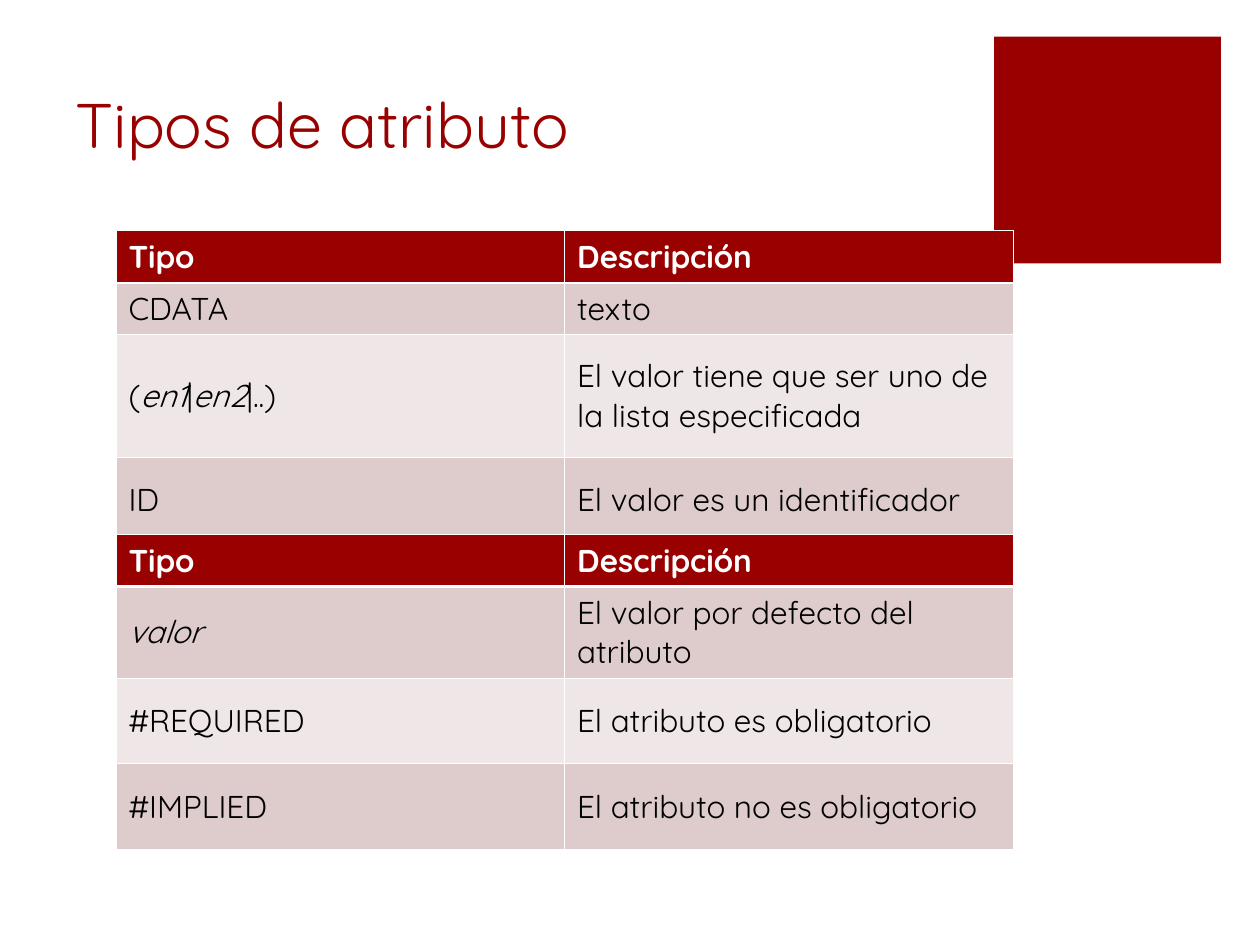
import dataclasses

import lxml.etree
import pptx
import pptx.dml.color
import pptx.enum.shapes
import pptx.enum.text
import pptx.oxml.ns
import pptx.util

COLS, ROWS = 100, 75  # slide grid


@dataclasses.dataclass(frozen=True)
class Theme:
    font: str = "Quicksand"
    red: str = "990000"
    white: str = "FFFFFF"
    black: str = "000000"
    bands: tuple = ("DECBCB", "EFE7E7")
    head: int = 36
    body: int = 18
    thin: float = 0.45
    thick: float = 1.47


def paint(fill, tone):
    fill.solid()
    fill.fore_color.rgb = pptx.dml.color.RGBColor.from_string(tone)


def write(frame, text, *, font, size, tone, bold=False):
    """Fill the frame; words between asterisks are italic."""
    line = frame.paragraphs[0]
    line.alignment = pptx.enum.text.PP_ALIGN.LEFT
    for i, part in enumerate(text.split("*")):
        if part:
            run = line.add_run()
            run.text = part
            run.font.name = font
            run.font.size = pptx.util.Pt(size)
            run.font.bold = bold
            run.font.italic = i % 2 == 1
            run.font.color.rgb = pptx.dml.color.RGBColor.from_string(tone)


def edge(cell, side, width, tone):
    """Add one cell border; call in the order L, R, T, B, before the fill."""
    qn = pptx.oxml.ns.qn
    props = cell._tc.get_or_add_tcPr()
    line = lxml.etree.SubElement(props, qn(f"a:ln{side}"), w=str(pptx.util.Pt(width)))
    fill = lxml.etree.SubElement(line, qn("a:solidFill"))
    lxml.etree.SubElement(fill, qn("a:srgbClr"), val=tone)


class Deck:
    def __init__(self, theme):
        self.theme = theme
        self.show = pptx.Presentation()
        self.show.slide_width = pptx.util.Inches(10)
        self.show.slide_height = pptx.util.Inches(7.5)
        self.slide = self.show.slides.add_slide(self.show.slide_layouts[5])

    def wide(self, cols):
        return round(self.show.slide_width * cols / COLS)

    def high(self, rows):
        return round(self.show.slide_height * rows / ROWS)

    def area(self, left, top, cols, rows):
        return self.wide(left), self.high(top), self.wide(cols), self.high(rows)

    def title(self, text, *place):
        box = self.slide.shapes.title
        box.left, box.top, box.width, box.height = self.area(*place)
        frame = box.text_frame
        frame.auto_size = pptx.enum.text.MSO_AUTO_SIZE.NONE
        frame.vertical_anchor = pptx.enum.text.MSO_ANCHOR.BOTTOM
        write(frame, text, font=self.theme.font, size=self.theme.head, tone=self.theme.red)

    def block(self, *place):
        kind = pptx.enum.shapes.MSO_SHAPE.RECTANGLE
        shape = self.slide.shapes.add_shape(kind, *self.area(*place))
        shape.shadow.inherit = False
        shape.line.fill.background()
        paint(shape.fill, self.theme.red)

    def table(self, data, left, top, cols, sizes):
        place = self.area(left, top, cols, sum(sizes))
        grid = self.slide.shapes.add_table(len(data), len(data[0]), *place).table
        for r, (texts, size) in enumerate(zip(data, sizes)):
            grid.rows[r].height = self.high(size)
            for c, text in enumerate(texts):
                self.cell(grid.cell(r, c), text, r)

    def cell(self, cell, text, row):
        theme = self.theme
        first = row == 0
        over = theme.thick if row == 1 else theme.thin
        under = theme.thick if first else theme.thin
        for side, width in zip("LRTB", (theme.thin, theme.thin, over, under)):
            edge(cell, side, width, theme.white)
        paint(cell.fill, theme.red if first else theme.bands[(row - 1) % 2])
        cell.vertical_anchor = pptx.enum.text.MSO_ANCHOR.MIDDLE
        write(cell.text_frame, text, font=theme.font, size=theme.body,
              tone=theme.white if first else theme.black, bold=first)


def main():
    heads = ("Tipo", "Descripción")
    types = [
        heads,
        ("CDATA", "texto"),
        ("(*en1*|*en2*|..)", "El valor tiene que ser uno de la lista especificada"),
        ("ID", "El valor es un identificador"),
    ]
    values = [
        heads,
        ("*valor*", "El valor por defecto del atributo"),
        ("#REQUIRED", "El atributo es obligatorio"),
        ("#IMPLIED", "El atributo no es obligatorio"),
    ]
    deck = Deck(Theme())
    deck.block(78.9, 2.9, 18, 18)
    deck.title("Tipos de atributo", 5, 0.8, 71.2, 12.5)
    deck.table(types, 9.2, 18.3, 71.2, (3.9, 3.9, 9.7, 6.8))
    deck.table(values, 9.2, 42.4, 71.2, (3.9, 6.8, 6.8, 6.8))
    deck.show.save("out.pptx")


if __name__ == "__main__":
    main()
